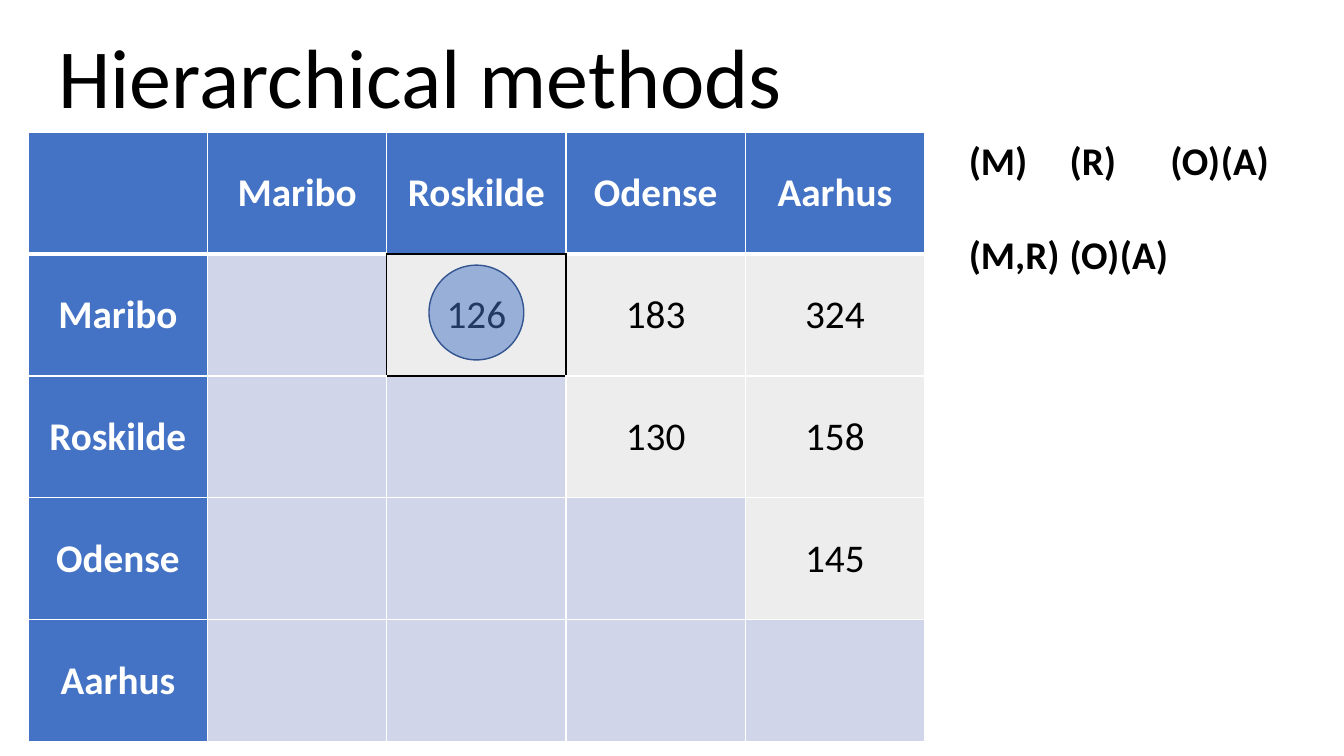
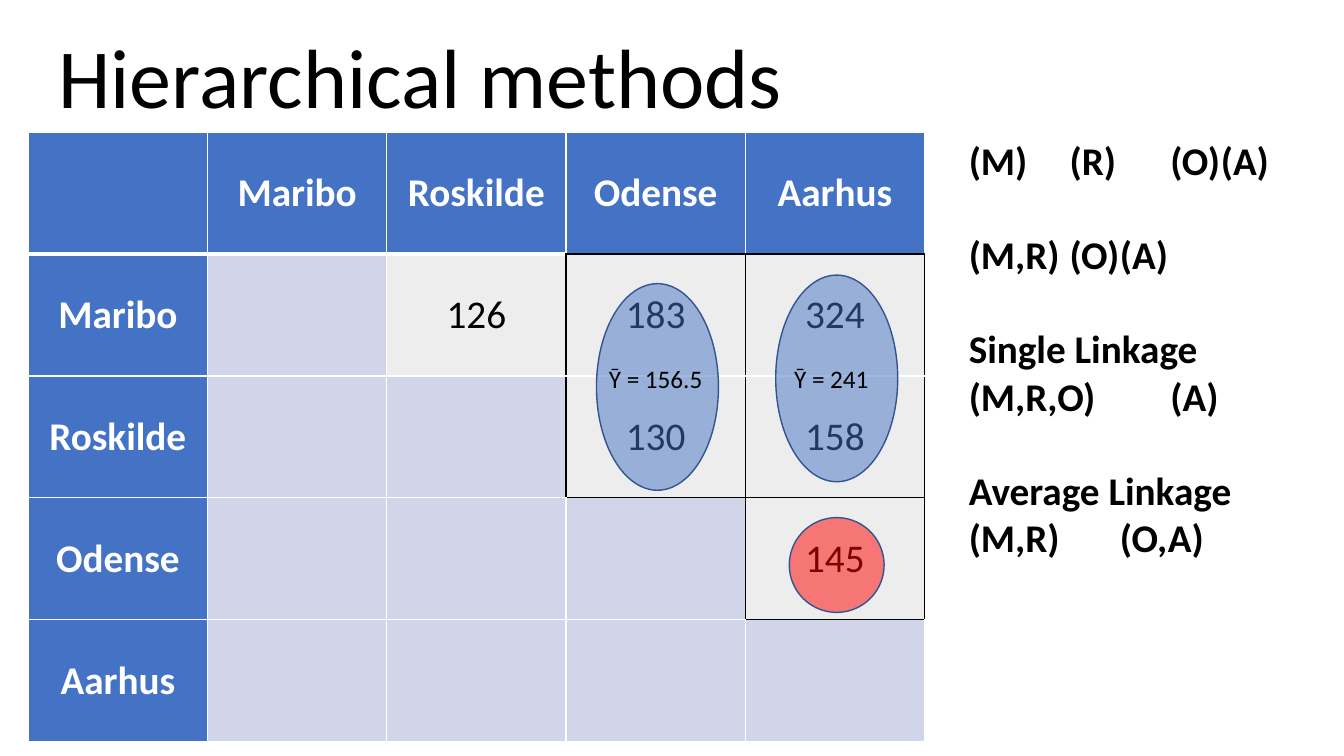
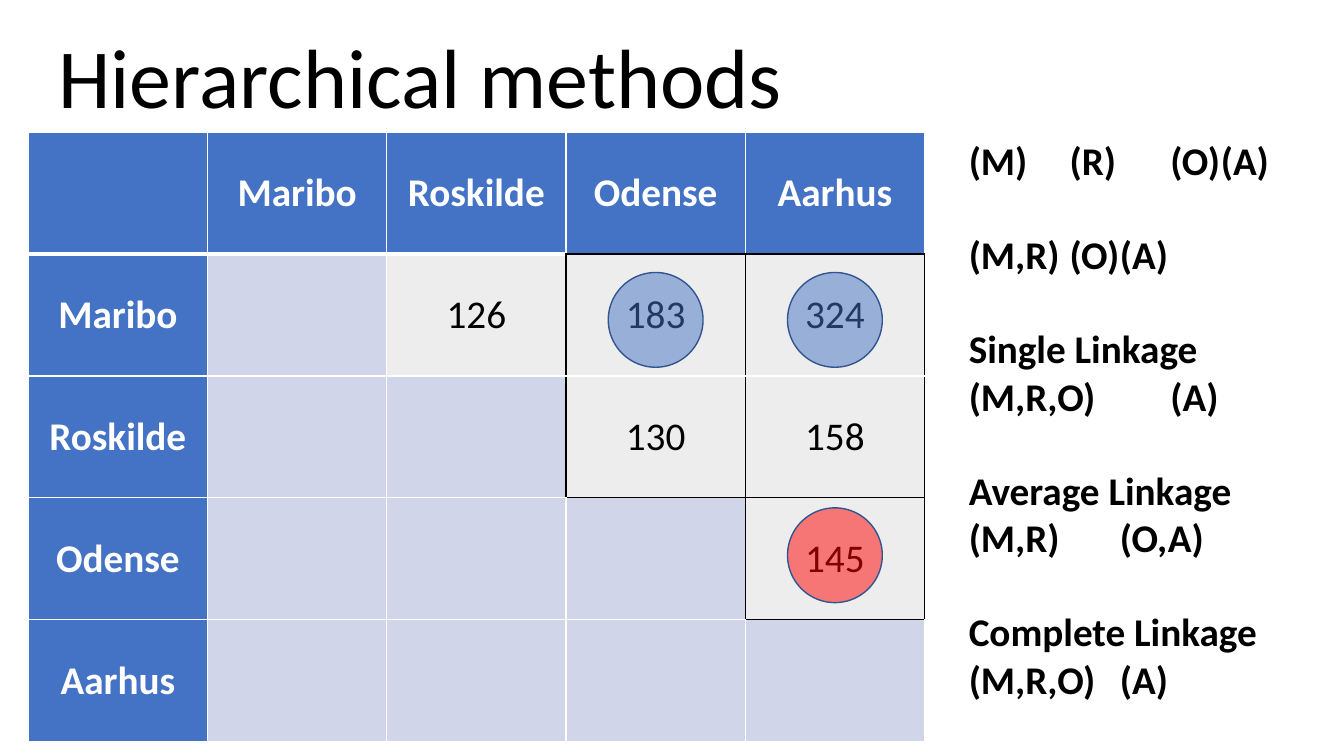
from lxml import etree
from pptx import Presentation
from pptx.dml.color import RGBColor
from pptx.enum.shapes import MSO_SHAPE
from pptx.enum.text import MSO_ANCHOR, PP_ALIGN
from pptx.oxml.ns import qn
from pptx.util import Inches, Pt

OVAL = MSO_SHAPE.OVAL
MIDDLE = MSO_ANCHOR.MIDDLE
LEFT, CENTER = PP_ALIGN.LEFT, PP_ALIGN.CENTER

BLACK = RGBColor(0x00, 0x00, 0x00)
WHITE = RGBColor(0xFF, 0xFF, 0xFF)
BLUE = RGBColor(0x44, 0x72, 0xC4)
DARK_BLUE = RGBColor(0x32, 0x54, 0x91)
LAVENDER = RGBColor(0xD0, 0xD5, 0xEA)
GREY = RGBColor(0xED, 0xED, 0xED)
RED = RGBColor(0xFF, 0x00, 0x00)

FONT = "Calibri"
TITLE_SIZE, BODY_SIZE, LABEL_SIZE = 60, 28, 18
LINE_HEIGHT = 0.47
TAB_STEP, TAB_COUNT = 0.5, 5

CITIES = ["Maribo", "Roskilde", "Odense", "Aarhus"]
DISTANCES = {(1, 2): 126, (1, 3): 183, (1, 4): 324,
             (2, 3): 130, (2, 4): 158, (3, 4): 145}
GRID_LEFT, GRID_TOP = 0.28, 1.31
GRID_WIDTH, GRID_HEIGHT = 8.89, 6.05
GRID_SIZE = len(CITIES) + 1
COLUMN = GRID_WIDTH / GRID_SIZE
ROW = GRID_HEIGHT / GRID_SIZE
SIDES = {"a:lnL": (0, -1), "a:lnR": (0, 1), "a:lnT": (-1, 0), "a:lnB": (1, 0)}

CLUSTER_STEPS = [
    ["(M)\t(R)\t\t(O)\t(A)"],
    ["(M,R)\t(O)\t(A)"],
    ["Single Linkage", "(M,R,O)\t\t(A)"],
    ["Average Linkage", "(M,R)\t\t(O,A)"],
    ["Complete Linkage", "(M,R,O)\t(A)"],
]

# Cells that share a number are outlined together.
FIRST_MERGE = {(1, 2): 1}
SECOND_MERGE = {(1, 3): 1, (2, 3): 1, (1, 4): 2, (2, 4): 2, (3, 4): 3}

CIRCLE = (0.94, 0.94)
PAIR_OVAL = (1.21, 2.05)
LABEL = (1.14, 0.4)


def add_run(paragraph, text, size, color=BLACK, bold=False):
    run = paragraph.add_run()
    run.text = text
    run.font.name = FONT
    run.font.size = Pt(size)
    run.font.bold = bold
    run.font.color.rgb = color


def add_text(slide, left, top, width, height, text, size, align=LEFT, wrap=True):
    box = slide.shapes.add_textbox(*map(Inches, (left, top, width, height)))
    box.text_frame.word_wrap = wrap
    paragraph = box.text_frame.paragraphs[0]
    paragraph.alignment = align
    add_run(paragraph, text, size)


def grid_box(column, row, size):
    """Left, top, width and height around a centre given in table cells."""
    width, height = size
    return (GRID_LEFT + column * COLUMN - width / 2,
            GRID_TOP + row * ROW - height / 2, width, height)


def add_border(cell, side, color, points):
    line = etree.SubElement(cell._tc.get_or_add_tcPr(), qn(side), w=str(Pt(points)))
    fill = etree.SubElement(line, qn("a:solidFill"))
    etree.SubElement(fill, qn("a:srgbClr"), val=str(color))


def style_borders(cell, row, column, outlines):
    """Black where an outlined group meets other cells, white elsewhere."""
    for side, (down, across) in SIDES.items():
        neighbour = (row + down, column + across)
        if outlines.get((row, column)) != outlines.get(neighbour):
            add_border(cell, side, BLACK, 1)
        else:
            under_header = (row, side) in ((0, "a:lnB"), (1, "a:lnT"))
            add_border(cell, side, WHITE, 3 if under_header else 1)


def fill_cell(cell, row, column):
    is_header = row == 0 or column == 0
    if is_header:
        text = CITIES[row + column - 1] if row + column else ""
        background = BLUE
    else:
        text = str(DISTANCES.get((row, column), ""))
        background = GREY if text else LAVENDER
    cell.fill.solid()
    cell.fill.fore_color.rgb = background
    cell.vertical_anchor = MIDDLE
    if text:
        paragraph = cell.text_frame.paragraphs[0]
        paragraph.alignment = CENTER
        add_run(paragraph, text, BODY_SIZE, WHITE if is_header else BLACK, is_header)


def add_distance_table(slide, outlines):
    frame = slide.shapes.add_table(GRID_SIZE, GRID_SIZE, *map(
        Inches, (GRID_LEFT, GRID_TOP, GRID_WIDTH, GRID_HEIGHT)))
    table = frame.table
    table.first_row = table.horz_banding = False
    for row in range(GRID_SIZE):
        for column in range(GRID_SIZE):
            cell = table.cell(row, column)
            style_borders(cell, row, column, outlines)
            fill_cell(cell, row, column)


def add_tab_stops(paragraph):
    tabs = etree.SubElement(paragraph._p.get_or_add_pPr(), qn("a:tabLst"))
    for stop in range(1, TAB_COUNT + 1):
        etree.SubElement(tabs, qn("a:tab"), pos=str(Inches(stop * TAB_STEP)), algn="l")


def add_cluster_steps(slide, steps):
    line_count = sum(map(len, steps)) + len(steps) - 1
    box = slide.shapes.add_textbox(Inches(9.51), Inches(1.3), Inches(3.72),
                                   Inches(line_count * LINE_HEIGHT + 0.1))
    frame = box.text_frame
    frame.word_wrap = True
    paragraph = None
    for step in steps:
        for index, line in enumerate(step):
            is_first = paragraph is None
            paragraph = frame.paragraphs[0] if is_first else frame.add_paragraph()
            add_tab_stops(paragraph)
            if index == 0 and not is_first:
                paragraph.space_before = Pt(LINE_HEIGHT * 72)
            add_run(paragraph, line, BODY_SIZE, bold=True)


def add_marker(slide, column, row, size=CIRCLE, color=BLUE):
    """Half-transparent ellipse centred at a position given in table cells."""
    marker = slide.shapes.add_shape(OVAL, *map(Inches, grid_box(column, row, size)))
    marker.shadow.inherit = False
    marker.fill.solid()
    marker.fill.fore_color.rgb = color
    marker.line.color.rgb = DARK_BLUE
    marker.line.width = Pt(1)
    fill_color = marker._element.spPr.find(qn("a:solidFill"))[0]
    etree.SubElement(fill_color, qn("a:alpha"), val="50000")


def add_mean(slide, column, row, text):
    add_text(slide, *grid_box(column, row, LABEL), text, LABEL_SIZE, CENTER, wrap=False)


def add_method_slide(deck, outlines, step_count):
    slide = deck.slides.add_slide(deck.slide_layouts[6])
    add_text(slide, 0.48, 0.19, 7.45, 1.11, "Hierarchical methods", TITLE_SIZE)
    add_distance_table(slide, outlines)
    add_cluster_steps(slide, CLUSTER_STEPS[:step_count])
    return slide


def main():
    deck = Presentation()
    deck.slide_width, deck.slide_height = Inches(13.33), Inches(7.5)

    nearest_pair = add_method_slide(deck, FIRST_MERGE, 2)
    add_marker(nearest_pair, 2.5, 1.48)

    average_linkage = add_method_slide(deck, SECOND_MERGE, 4)
    add_marker(average_linkage, 3.51, 2.09, PAIR_OVAL)
    add_marker(average_linkage, 4.51, 2.02, PAIR_OVAL)
    add_mean(average_linkage, 3.5, 2.02, "Ȳ = 156.5")
    add_mean(average_linkage, 4.48, 2.02, "Ȳ = 241")
    add_marker(average_linkage, 4.51, 3.55, color=RED)

    complete_linkage = add_method_slide(deck, SECOND_MERGE, 5)
    add_marker(complete_linkage, 3.5, 1.54)
    add_marker(complete_linkage, 4.5, 1.54)
    add_marker(complete_linkage, 4.5, 3.47, color=RED)

    deck.save("out.pptx")


if __name__ == "__main__":
    main()
